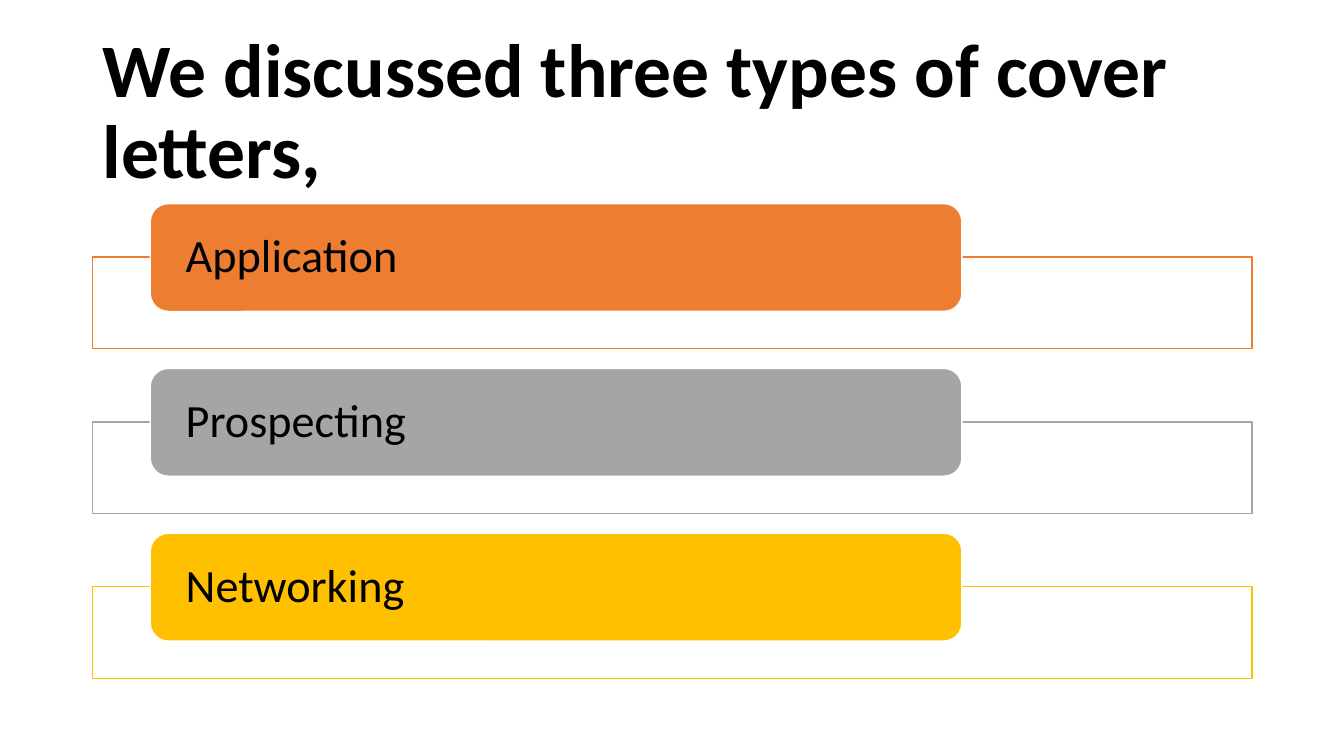
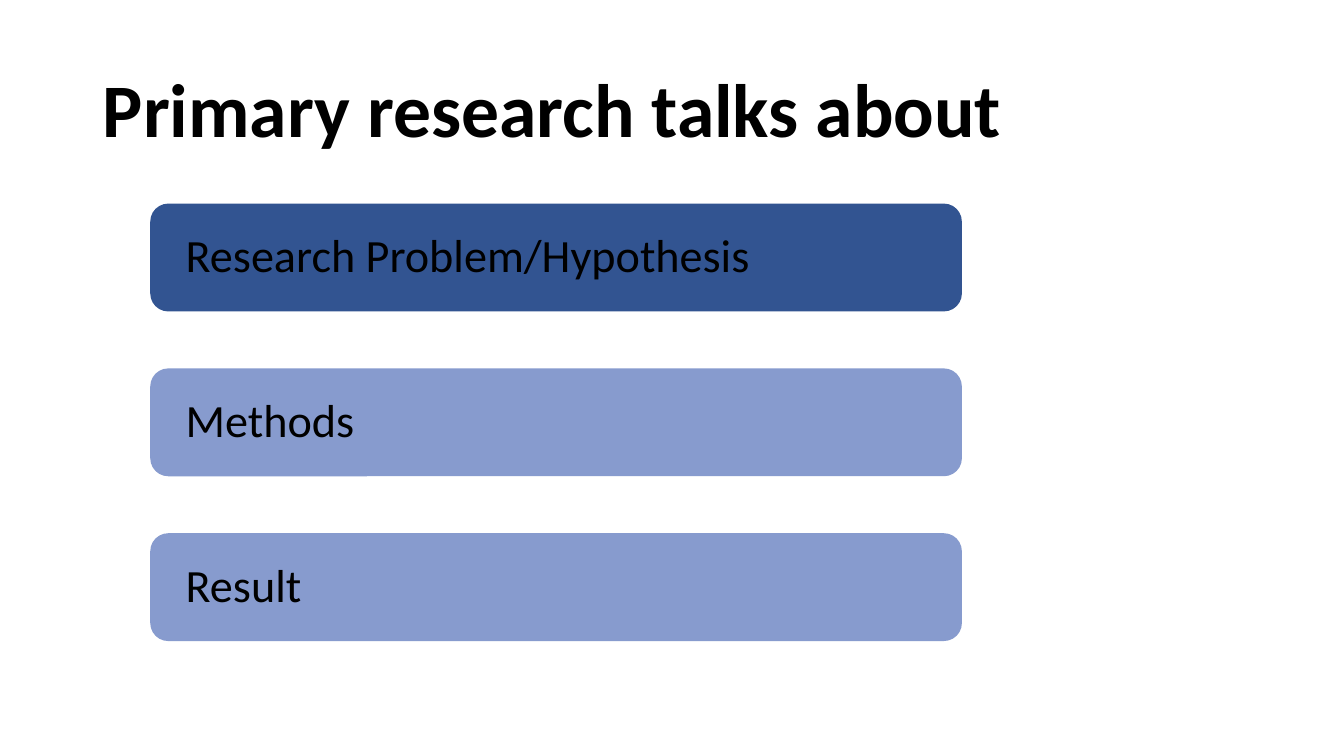
import dataclasses

import pptx
import pptx.dml.color
import pptx.enum.shapes
import pptx.enum.text
import pptx.util

Inches = pptx.util.Inches
Pt = pptx.util.Pt


@dataclasses.dataclass(frozen=True)
class Theme:
    font: str = "Calibri"
    text: str = "000000"
    white: str = "FFFFFF"
    orange: str = "ED7D31"
    gray: str = "A5A5A5"
    gold: str = "FFC000"
    navy: str = "325491"
    periwinkle: str = "879BCE"
    title_size: int = 54
    label_size: int = 33
    line_width: int = 1


def color(value):
    return pptx.dml.color.RGBColor.from_string(value)


class Deck:
    left = 0.92
    width = 11.5
    label_left = 1.49
    label_width = 8.05
    label_height = 1.07
    first_top = 2.02
    last_top = 5.29
    frame_offset = 0.53
    frame_height = 0.91

    def __init__(self, theme):
        self.theme = theme
        self.presentation = pptx.Presentation()
        self.presentation.slide_width = Inches(13.33)
        self.presentation.slide_height = Inches(7.5)
        self.slide = None

    def add_text(self, text_frame, text, size, bold=False):
        text_frame.word_wrap = True
        text_frame.auto_size = pptx.enum.text.MSO_AUTO_SIZE.NONE
        text_frame.vertical_anchor = pptx.enum.text.MSO_ANCHOR.MIDDLE
        paragraph = text_frame.paragraphs[0]
        paragraph.alignment = pptx.enum.text.PP_ALIGN.LEFT
        paragraph.line_spacing = 0.9
        paragraph.space_before = Pt(0)
        run = paragraph.add_run()
        run.text = text
        run.font.name = self.theme.font
        run.font.size = Pt(size)
        run.font.bold = bold
        run.font.color.rgb = color(self.theme.text)

    def add_slide(self, title):
        layout = self.presentation.slide_layouts.get_by_name("Title Only")
        self.slide = self.presentation.slides.add_slide(layout)
        placeholder = self.slide.shapes.title
        placeholder.left, placeholder.top = Inches(self.left), Inches(0.4)
        placeholder.width, placeholder.height = Inches(self.width), Inches(1.45)
        self.add_text(placeholder.text_frame, title, self.theme.title_size, bold=True)

    def add_box(self, kind, left, top, width, height, fill, line=None):
        shape = self.slide.shapes.add_shape(
            kind, Inches(left), Inches(top), Inches(width), Inches(height)
        )
        shape.shadow.inherit = False
        shape.fill.solid()
        shape.fill.fore_color.rgb = color(fill)
        if line:
            shape.line.color.rgb = color(line)
            shape.line.width = Pt(self.theme.line_width)
        else:
            shape.line.fill.background()
        return shape

    def add_frame(self, top, line):
        self.add_box(
            pptx.enum.shapes.MSO_SHAPE.RECTANGLE,
            self.left, top, self.width, self.frame_height,
            self.theme.white, line,
        )

    def add_label(self, text, top, fill, line=None):
        label = self.add_box(
            pptx.enum.shapes.MSO_SHAPE.ROUNDED_RECTANGLE,
            self.label_left, top, self.label_width, self.label_height,
            fill, line,
        )
        text_frame = label.text_frame
        text_frame.margin_left = text_frame.margin_right = Inches(0.3)
        text_frame.margin_top = text_frame.margin_bottom = 0
        self.add_text(text_frame, text, self.theme.label_size)

    def add_label_list(self, items, framed=False):
        pitch = (self.last_top - self.first_top) / (len(items) - 1)
        for index, (text, fill) in enumerate(items):
            top = self.first_top + index * pitch
            if framed:
                self.add_frame(top + self.frame_offset, fill)
            self.add_label(text, top, fill, self.theme.white if framed else None)


def main():
    theme = Theme()
    deck = Deck(theme)

    deck.add_slide("We discussed three types of cover letters,")
    deck.add_label_list(
        [
            ("Application", theme.orange),
            ("Prospecting", theme.gray),
            ("Networking", theme.gold),
        ],
        framed=True,
    )

    deck.add_slide("Primary research talks about")
    deck.add_label_list(
        [
            ("Research Problem/Hypothesis", theme.navy),
            ("Methods", theme.periwinkle),
            ("Result", theme.periwinkle),
        ]
    )

    deck.presentation.save("out.pptx")


if __name__ == "__main__":
    main()
